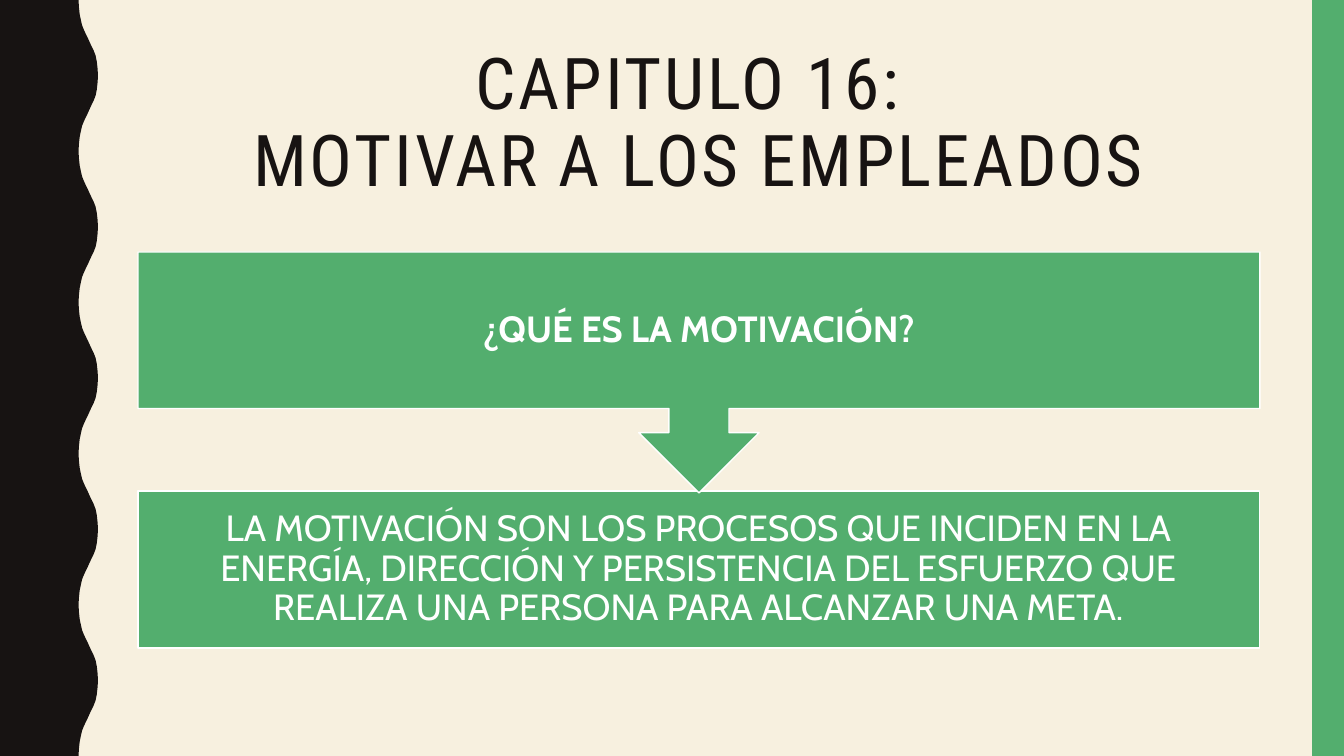
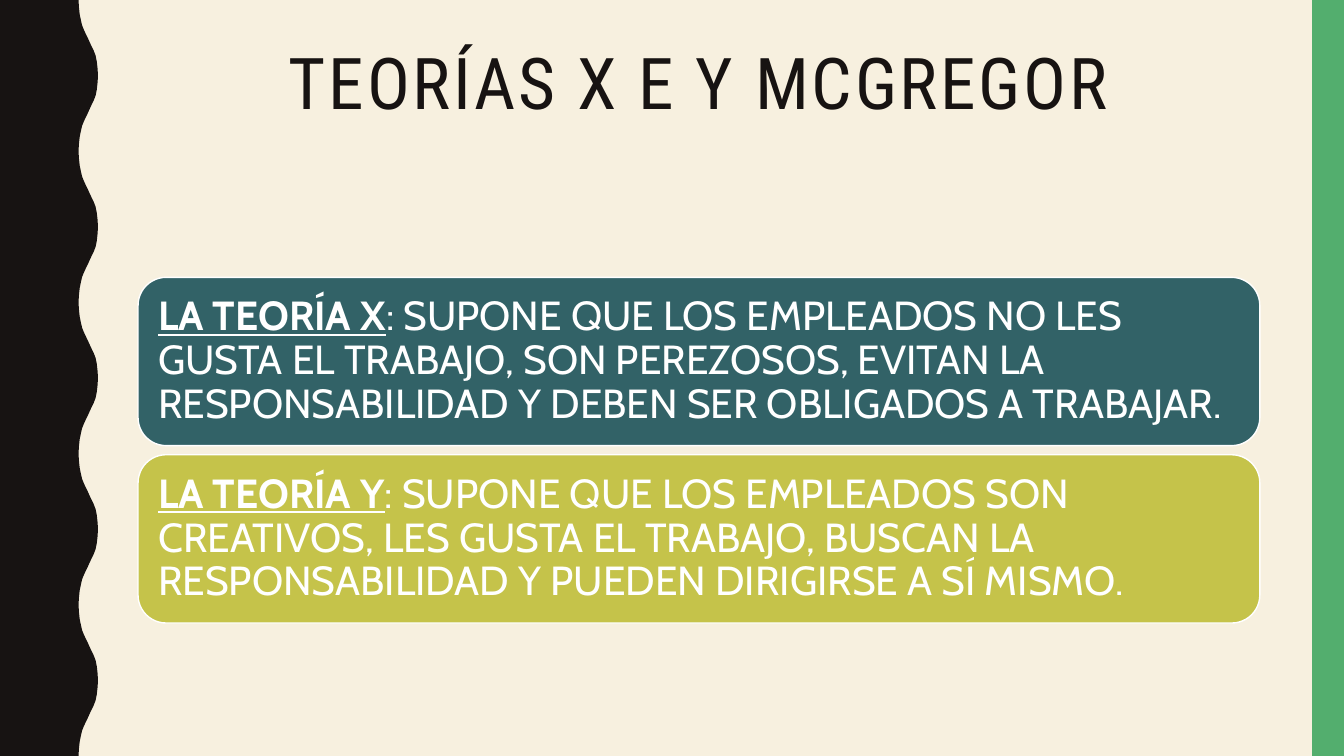
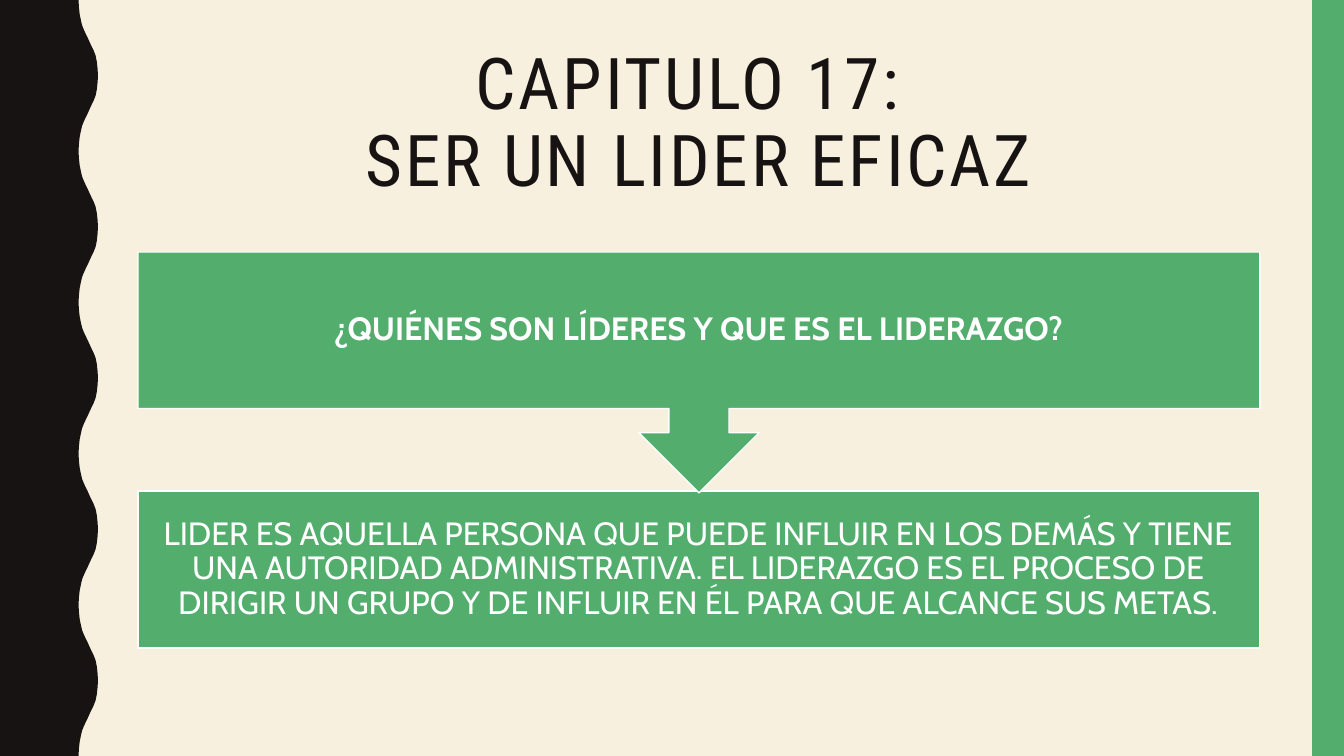
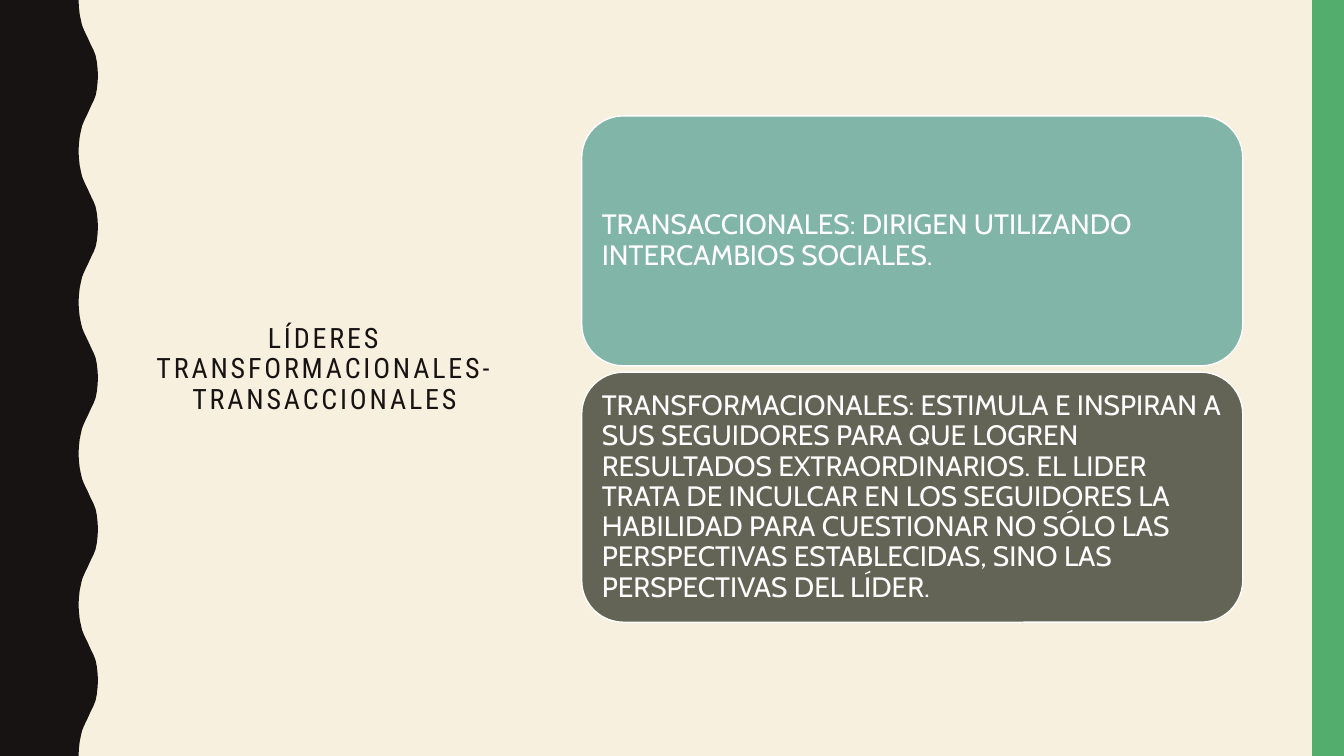
from pptx import Presentation
from pptx.dml.color import RGBColor
from pptx.enum.shapes import MSO_SHAPE as SHAPE
from pptx.enum.text import MSO_ANCHOR as ANCHOR, PP_ALIGN as ALIGN
from pptx.util import Cm, Pt

# Colours and fonts
CREAM = RGBColor(0xF7, 0xF0, 0xDF)
BLACK = RGBColor(0x17, 0x13, 0x12)
WHITE = RGBColor(0xFF, 0xFF, 0xFF)
GREEN = RGBColor(0x53, 0xAE, 0x6E)
TEAL = RGBColor(0x32, 0x62, 0x67)
OLIVE = RGBColor(0xC5, 0xC3, 0x4A)
AQUA = RGBColor(0x81, 0xB5, 0xA8)
GREY = RGBColor(0x63, 0x64, 0x55)
TITLE_FONT, BODY_FONT = "Roboto Condensed", "Cabin"

# Shared measures, in centimetres
WIDTH, HEIGHT = 33.87, 19.05
LEFT, CONTENT_W = 3.48, 28.27
BAR_W = 0.8
TOP_TITLE = (LEFT, 1.07, CONTENT_W, 4.14)
SIDE_TITLE = (LEFT, 1.8, 9.4, 15.04)

# Wavy edge: the rising half of one wave, then its mirror
WAVES = 5
WAVE_H = HEIGHT / WAVES
RISE = [(1.98, 0), (1.99, 0.18), (2.01, 0.36), (2.04, 0.51), (2.07, 0.64),
        (2.11, 0.74), (2.16, 0.85), (2.21, 0.95), (2.26, 1.06), (2.31, 1.17),
        (2.36, 1.27), (2.41, 1.4), (2.44, 1.55), (2.46, 1.73), (2.47, 1.9)]
WAVE = RISE + [(x, WAVE_H - y) for x, y in reversed(RISE)]
EDGE = [(x, y + n * WAVE_H) for n in range(WAVES) for x, y in WAVE]

prs = Presentation()
prs.slide_width, prs.slide_height = Cm(WIDTH), Cm(HEIGHT)
bg = prs.slide_master.background.fill
bg.solid()
bg.fore_color.rgb = CREAM


def add_slide(title, box, size, anchor=ANCHOR.TOP):
    """Add a slide with the wavy band, the side bar and a title."""
    s = prs.slides.add_slide(prs.slide_layouts[6])
    fb = s.shapes.build_freeform(0, 0, scale=1.0)
    outline = EDGE + [(0, HEIGHT)]
    fb.add_line_segments([(Cm(x), Cm(y)) for x, y in outline], close=True)
    band = fb.convert_to_shape()
    bar = s.shapes.add_shape(SHAPE.RECTANGLE, Cm(WIDTH - BAR_W), 0,
                             Cm(BAR_W), Cm(HEIGHT))
    for sp, color in ((band, BLACK), (bar, GREEN)):
        sp.shadow.inherit = False
        sp.fill.solid()
        sp.fill.fore_color.rgb = color
        sp.line.fill.background()

    tf = s.shapes.add_textbox(*map(Cm, box)).text_frame
    tf.word_wrap = True
    tf.vertical_anchor = anchor
    p = tf.paragraphs[0]
    p.text = title
    p.alignment, p.line_spacing = ALIGN.CENTER, 0.9
    for r in p.runs:
        for key, value in {"name": TITLE_FONT, "size": Pt(size)}.items():
            setattr(r.font, key, value)
        r.font.color.rgb = BLACK
        r._r.get_or_add_rPr().set("spc", "200")
    return s


def add_card(s, kind, box, fill, runs, size, inset, align=ALIGN.LEFT):
    """Add a filled shape; runs holds (text, font settings) pairs."""
    sp = s.shapes.add_shape(kind, *map(Cm, box))
    sp.shadow.inherit = False
    sp.fill.solid()
    sp.fill.fore_color.rgb = fill
    sp.line.color.rgb = WHITE
    sp.line.width = Pt(1)
    tf = sp.text_frame
    tf.word_wrap = True
    tf.vertical_anchor = ANCHOR.MIDDLE
    for side in ("left", "top", "right", "bottom"):
        setattr(tf, f"margin_{side}", Cm(inset))
    p = tf.paragraphs[0]
    p.alignment, p.line_spacing = align, 0.9
    for text, extra in runs:
        r = p.add_run()
        r.text = text
        fmt = {"name": BODY_FONT, "size": Pt(size), **extra}
        for key, value in fmt.items():
            setattr(r.font, key, value)
        r.font.color.rgb = WHITE


CHAPTER_16 = (
    "CAPITULO 16: \vMOTIVAR A LOS EMPLEADOS",
    "¿QUÉ ES LA MOTIVACIÓN?",
    "LA MOTIVACIÓN SON LOS PROCESOS QUE INCIDEN EN LA ENERGÍA, DIRECCIÓN Y "
    "PERSISTENCIA DEL ESFUERZO QUE REALIZA UNA PERSONA PARA ALCANZAR UNA META.",
    26, 0.51)
CHAPTER_17 = (
    "CAPITULO 17: \vSER UN LIDER EFICAZ",
    "¿QUIÉNES SON LÍDERES Y QUE ES EL LIDERAZGO?",
    "LIDER ES AQUELLA PERSONA QUE PUEDE INFLUIR EN LOS DEMÁS Y TIENE UNA "
    "AUTORIDAD ADMINISTRATIVA. EL LIDERAZGO ES EL PROCESO DE DIRIGIR UN GRUPO "
    "Y DE INFLUIR EN ÉL PARA QUE ALCANCE SUS METAS.",
    23, 0.46)
THEORIES = [
    (TEAL, "LA TEORÍA X",
     ": SUPONE QUE LOS EMPLEADOS NO LES GUSTA EL TRABAJO, SON PEREZOSOS, "
     "EVITAN LA RESPONSABILIDAD Y DEBEN SER OBLIGADOS A TRABAJAR."),
    (OLIVE, "LA TEORÍA Y",
     ": SUPONE QUE LOS EMPLEADOS SON CREATIVOS, LES GUSTA EL TRABAJO, BUSCAN "
     "LA RESPONSABILIDAD Y PUEDEN DIRIGIRSE A SÍ MISMO."),
]
LEADERS = [
    (AQUA, "TRANSACCIONALES: DIRIGEN UTILIZANDO INTERCAMBIOS SOCIALES."),
    (GREY,
     "TRANSFORMACIONALES: ESTIMULA E INSPIRAN A SUS SEGUIDORES PARA QUE "
     "LOGREN RESULTADOS EXTRAORDINARIOS. EL LIDER TRATA DE INCULCAR EN LOS "
     "SEGUIDORES LA HABILIDAD PARA CUESTIONAR NO SÓLO LAS PERSPECTIVAS "
     "ESTABLECIDAS, SINO LAS PERSPECTIVAS DEL LÍDER."),
]

# Slides 1 to 3: each chapter asks and answers; the theories come between
for chapter in (CHAPTER_16, CHAPTER_17):
    title, question, answer, size, inset = chapter
    s = add_slide(title, TOP_TITLE, 51)
    add_card(s, SHAPE.RECTANGLE, (LEFT, 12.37, CONTENT_W, 3.96), GREEN,
             [(answer, {})], size, inset, ALIGN.CENTER)
    add_card(s, SHAPE.DOWN_ARROW_CALLOUT, (LEFT, 6.35, CONTENT_W, 6.07), GREEN,
             [(question, {"bold": True})], size, inset, ALIGN.CENTER)

    if chapter is CHAPTER_16:
        s = add_slide("TEORÍAS X E Y MCGREGOR", TOP_TITLE, 51)
        for i, (fill, name, text) in enumerate(THEORIES):
            add_card(s, SHAPE.ROUNDED_RECTANGLE,
                     (LEFT, 6.99 + i * 4.47, CONTENT_W, 4.24), fill,
                     [(name, {"bold": True, "underline": True}), (text, {})],
                     29, 0.3)

# Slide 4: kinds of leaders
s = add_slide("LÍDERES TRANSFORMACIONALES-TRANSACCIONALES", SIDE_TITLE, 20,
              ANCHOR.MIDDLE)
for i, (fill, text) in enumerate(LEADERS):
    add_card(s, SHAPE.ROUNDED_RECTANGLE, (14.66, 2.92 + i * 6.46, 16.66, 6.3),
             fill, [(text, {})], 20, 0.2)

prs.save("out.pptx")
